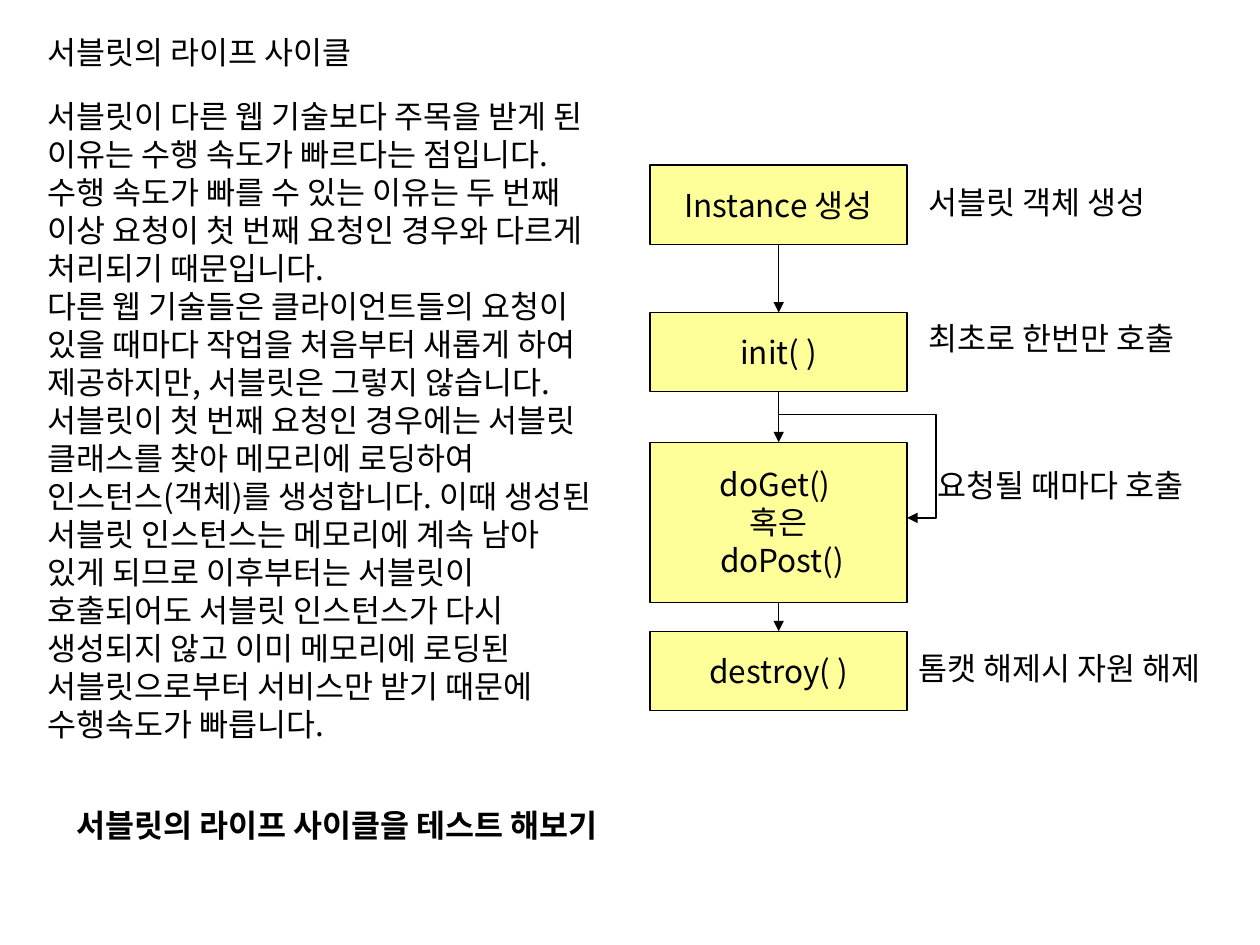
"""Build a slide that explains the servlet life cycle beside its flow chart."""
from lxml.etree import SubElement
from pptx import Presentation
from pptx.dml.color import RGBColor
from pptx.enum.shapes import MSO_CONNECTOR, MSO_SHAPE
from pptx.enum.text import MSO_ANCHOR, PP_ALIGN
from pptx.oxml.ns import qn
from pptx.util import Inches, Pt

CELL = Inches(0.1)
COLUMNS, ROWS = 100, 75
FONT = "Noto Sans CJK KR"
BLACK, YELLOW = "000000", "FFFF99"


def paint(fill, color):
    fill.solid()
    fill.fore_color.rgb = RGBColor.from_string(color)


def write(text, left, top, width, height, bold=False, fill=None):
    area = [round(cells * CELL) for cells in (left, top, width, height)]
    if fill:
        holder = slide.shapes.add_shape(MSO_SHAPE.RECTANGLE, *area)
        holder.shadow.inherit = False
        paint(holder.fill, fill)
        paint(holder.line.fill, BLACK)
        holder.line.width = Pt(0.75)
    else:
        holder = slide.shapes.add_textbox(*area)
    frame = holder.text_frame
    frame.word_wrap = True
    frame.vertical_anchor = MSO_ANCHOR.MIDDLE if fill else MSO_ANCHOR.TOP
    frame.text = text
    for paragraph in frame.paragraphs:
        paragraph.alignment = PP_ALIGN.CENTER if fill else PP_ALIGN.LEFT
        paragraph.line_spacing = Pt(21.7)
        for run in paragraph.runs:
            run.font.size = Pt(18)
            run.font.bold = bold
            run.font.name = FONT
            paint(run.font.fill, BLACK)
            SubElement(run.font._element, qn("a:ea"), typeface=FONT)


deck = Presentation()
deck.slide_width, deck.slide_height = COLUMNS * CELL, ROWS * CELL
slide = deck.slides.add_slide(deck.slide_layouts[6])

step_left, step_width = 51.6, 20.4
step_middle, step_right = step_left + step_width / 2, step_left + step_width
steps = [
    ("Instance 생성", 13.1, 6.3),
    ("init( )", 24.8, 6.3),
    ("doGet() \n혹은\n doPost()", 35.1, 12.7),
    ("destroy( )", 50.1, 6.3),
]
for step, top, height in steps:
    write(step, step_left, top, step_width, height, fill=YELLOW)

arrows = [
    (MSO_CONNECTOR.STRAIGHT, step_middle, top + height, step_middle, next_top)
    for (_, top, height), (_, next_top, _) in zip(steps, steps[1:])
]
arrows.append((MSO_CONNECTOR.ELBOW, step_middle, 32.9, step_right, 41.1))
for route, *ends in arrows:
    arrow = slide.shapes.add_connector(route, *[round(cells * CELL) for cells in ends])
    paint(arrow.line.fill, BLACK)
    arrow.line.width = Pt(0.75)
    SubElement(arrow.line._get_or_add_ln(), qn("a:tailEnd"), type="triangle")
    SubElement(arrow._element.spPr, qn("a:effectLst"))
    if route == MSO_CONNECTOR.ELBOW:
        bend = arrow._element.spPr.find(qn("a:prstGeom")).get_or_add_avLst()
        SubElement(bend, qn("a:gd"), name="adj1", fmla="val 122500")

for remark, left, top, width in [
    ("서블릿 객체 생성", 72.7, 14, 24),
    ("최초로 한번만 호출", 72.7, 24.8, 24),
    ("요청될 때마다 호출", 73.4, 36.5, 24),
    ("톰캣 해제시 자원 해제", 71.9, 51, 26.9),
]:
    write(remark, left, top, width, 4.6)

explanation = (
    "서블릿이 다른 웹 기술보다 주목을 받게 된 이유는 수행 속도가 빠르다는 점입니다. "
    "수행 속도가 빠를 수 있는 이유는 두 번째 이상 요청이 첫 번째 요청인 경우와 "
    "다르게 처리되기 때문입니다.\n"
    "다른 웹 기술들은 클라이언트들의 요청이 있을 때마다 작업을 처음부터 새롭게 하여 "
    "제공하지만, 서블릿은 그렇지 않습니다. 서블릿이 첫 번째 요청인 경우에는 서블릿 "
    "클래스를 찾아 메모리에 로딩하여 인스턴스(객체)를 생성합니다. 이때 생성된 서블릿 "
    "인스턴스는 메모리에 계속 남아 있게 되므로 이후부터는 서블릿이 호출되어도 서블릿 "
    "인스턴스가 다시 생성되지 않고 이미 메모리에 로딩된 서블릿으로부터 서비스만 받기 "
    "때문에 수행속도가 빠릅니다."
)
write("서블릿의 라이프 사이클", 2.8, 2.1, 29.1, 4)
write(explanation, 2.8, 7.2, 45.6, 52.5)
write("서블릿의 라이프 사이클을 테스트 해보기", 5.1, 63.5, 48.5, 4, bold=True)

deck.save("out.pptx")
